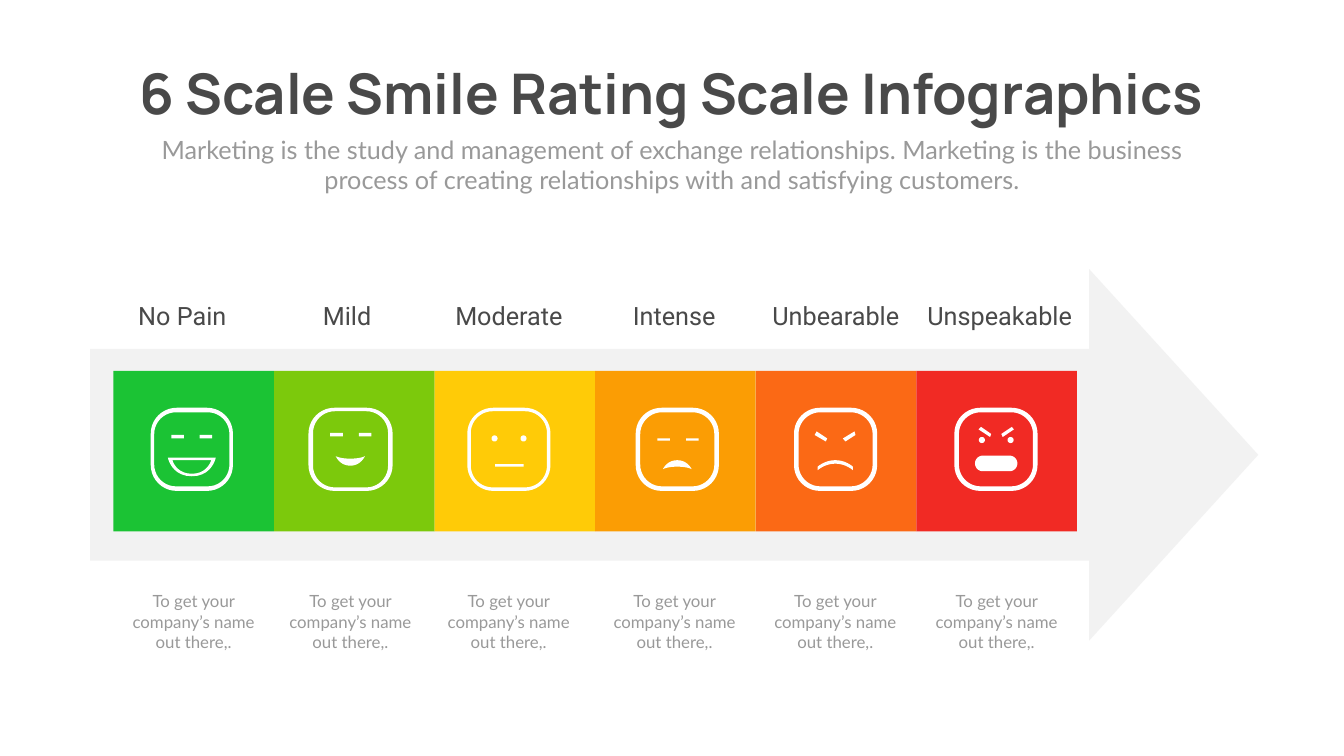
from dataclasses import dataclass
from math import cos, pi, sin

from pptx import Presentation
from pptx import util as u
from pptx.dml.color import RGBColor
from pptx.enum import shapes, text

Point = tuple[float, float]
Contour = list[Point]

COLORS = {
    "heading": "494949", "body": "999999", "arrow": "F2F2F2", "face": "FFFFFF",
    "green": "1BC334", "lime": "7CC90C", "yellow": "FFCB07",
    "amber": "FB9D04", "orange": "FB6915", "red": "F12A24",
}
CAPTION = "To get your company’s name out there,."

# All lengths are in points
TILE_LEFT, TILE_TOP, TILE_PITCH, TILE_SIZE = 162, 530, 229.35, 229.3
FACE_TOP, FACE_HEIGHT, FACE_RADIUS = 582.5, 118.8, 37
LABEL_TOP, LABEL_HEIGHT = 425.5, 51
CAPTION_TOP, CAPTION_WIDTH, CAPTION_HEIGHT = 841, 194.4, 94.3
UNITS_PER_POINT = 100
CURVE_STEPS = 10


@dataclass
class Stage:
    label: str
    color: str
    label_left: float
    label_width: float
    caption_left: float
    face_left: float
    face_width: float
    side_border: float
    top_border: float
    features: list[Contour]


# Face outlines, measured from the top left corner of the face
def rounded(left: float, top: float, width: float, height: float, radius: float) -> Contour:
    """Rectangle with circular corners."""
    right, bottom = left + width - radius, top + height - radius
    corners = [(right, bottom), (left + radius, bottom),
               (left + radius, top + radius), (right, top + radius)]
    points = []
    for quarter, (x, y) in enumerate(corners):
        for step in range(CURVE_STEPS + 1):
            angle = (quarter + step / CURVE_STEPS) * pi / 2
            points.append((x + radius * cos(angle), y + radius * sin(angle)))
    return points


def bar(left: float, top: float, width: float, height: float) -> Contour:
    return [(left, top), (left + width, top),
            (left + width, top + height), (left, top + height)]


def bow(left: float, right: float, end_y: float, middle_y: float, inset: float) -> Contour:
    """Symmetric curve through two ends and a middle point."""
    middle = (left + right) / 2
    half = []
    for step in range(CURVE_STEPS + 1):
        t = step / CURVE_STEPS
        start, control, finish = (1 - t) ** 3 + 3 * (1 - t) ** 2 * t, 3 * (1 - t) * t * t, t ** 3
        half.append((start * left + control * (left + inset) + finish * middle,
                     start * end_y + (control + finish) * middle_y))
    return half + [(left + right - x, y) for x, y in reversed(half[:-1])]


def mouth(left: float, right: float, first: Point, second: Point, inset: float = 5.5) -> Contour:
    """Area between two bows, each given as end and middle height."""
    return bow(left, right, *first, inset) + bow(left, right, *second, inset)[::-1]


def eyes(lefts: Point, top: float, height: float) -> list[Contour]:
    return [bar(left, top, 18, height) for left in lefts]


def dots(lefts: Point, top: float) -> list[Contour]:
    return [rounded(left, top, 8.6, 8.6, 4.3) for left in lefts]


STAGES = [
    Stage("No Pain", "green", 188, 144.7, 179.3, 215.3, 117.4, 5, 6.5,
          [*eyes((29.5, 69.8), 38.9, 5),
           bow(24.5, 92.9, 71.3, 97.9, 5), bow(31, 86.4, 74.9, 94.3, 5)]),
    Stage("Mild", "lime", 423.4, 144.7, 403.2, 440.6, 120.2, 6.5, 5,
          [*eyes((31, 72), 36, 5), mouth(38.9, 80.6, (69.1, 72.7), (69.1, 82.8))]),
    Stage("Moderate", "yellow", 633.6, 186.5, 629.3, 667.4, 118.8, 5, 5,
          [*dots((34.6, 76), 39.6), bar(39.6, 80.6, 41, 3.6)]),
    Stage("Intense", "amber", 890.6, 144.7, 866.2, 907.9, 118.8, 6.5, 6.5,
          [*eyes((31, 72), 43.9, 3), mouth(38.9, 79.9, (87.8, 84.2), (87.8, 74.9))]),
    Stage("Unbearable", "orange", 1066.3, 254.9, 1095.8, 1134, 118.8, 6.5, 6.5,
          [[(45.4, 48.2), (29.5, 38.9), (32.4, 33.8), (47.5, 43.9)],
           [(69.8, 43.9), (73.4, 48.2), (87.8, 38.9), (86.4, 33.8)],
           mouth(33.8, 84.2, (84.2, 74.9), (89.3, 79.9), 10)]),
    Stage("Unspeakable", "red", 1301.8, 252, 1326.2, 1363, 118.8, 6.5, 6.5,
          [[(52.6, 37.4), (38.2, 27.4), (34.6, 31), (51.1, 41.8)],
           [(85, 31), (82.1, 27.4), (67, 37.4), (69.1, 41.8)],
           *dots((35, 76), 41.8), rounded(29.5, 68.4, 60.5, 22.3, 11.1)]),
]


def paint(shape, color: str) -> None:
    shape.shadow.inherit = False
    shape.fill.solid()
    shape.fill.fore_color.rgb = RGBColor.from_string(COLORS[color])
    shape.line.fill.background()


def add_block(slide, preset, left: float, top: float, width: float, height: float, color: str):
    shape = slide.shapes.add_shape(preset, u.Pt(left), u.Pt(top), u.Pt(width), u.Pt(height))
    paint(shape, color)
    return shape


def add_text(slide, content: str, *, left: float, top: float, width: float, height: float,
             size: float, font: str, color: str, bold: bool = False, wrap: bool = True) -> None:
    box = slide.shapes.add_textbox(u.Pt(left), u.Pt(top), u.Pt(width), u.Pt(height))
    frame = box.text_frame
    frame.word_wrap = wrap
    frame.auto_size = text.MSO_AUTO_SIZE.SHAPE_TO_FIT_TEXT
    paragraph = frame.paragraphs[0]
    paragraph.alignment = text.PP_ALIGN.CENTER
    run = paragraph.add_run()
    run.text = content
    run.font.size = u.Pt(size)
    run.font.name = font
    run.font.bold = bold
    run.font.color.rgb = RGBColor.from_string(COLORS[color])


def add_face(slide, stage: Stage) -> None:
    side, top = stage.side_border, stage.top_border
    contours = [
        rounded(0, 0, stage.face_width, FACE_HEIGHT, FACE_RADIUS),
        rounded(side, top, stage.face_width - 2 * side, FACE_HEIGHT - 2 * top, FACE_RADIUS - 6),
        *stage.features,
    ]
    scaled = [[(x * UNITS_PER_POINT, y * UNITS_PER_POINT) for x, y in contour]
              for contour in contours]
    builder = slide.shapes.build_freeform(*scaled[0][0], scale=u.Pt(1) / UNITS_PER_POINT)
    builder.add_line_segments(scaled[0][1:], close=True)
    for contour in scaled[1:]:
        builder.move_to(*contour[0])
        builder.add_line_segments(contour[1:], close=True)
    paint(builder.convert_to_shape(u.Pt(stage.face_left), u.Pt(FACE_TOP)), "face")


def main() -> None:
    presentation = Presentation()
    presentation.slide_width, presentation.slide_height = u.Pt(1919.5), u.Pt(1080)
    slide = presentation.slides.add_slide(presentation.slide_layouts[6])

    # Heading
    add_text(slide, "6 Scale Smile Rating Scale Infographics", left=138.2, top=80.6, width=1642.3,
             height=104.4, size=80, font="Manrope", color="heading", bold=True, wrap=False)
    add_text(slide, "Marketing is the study and management of exchange relationships. Marketing is "
             "the business process of creating relationships with and satisfying customers.",
             left=210.2, top=188, width=1499, height=94.3, size=36, font="Lato", color="body")

    # Arrow behind the scale
    arrow = add_block(slide, shapes.MSO_SHAPE.RIGHT_ARROW, 128.9, 384.5, 1668.2, 530.6, "arrow")
    arrow.adjustments[0], arrow.adjustments[1] = 0.57, 0.455

    # Tiles, faces, labels and captions
    for index, stage in enumerate(STAGES):
        add_block(slide, shapes.MSO_SHAPE.RECTANGLE, TILE_LEFT + index * TILE_PITCH, TILE_TOP,
                  TILE_SIZE, TILE_SIZE, stage.color)
        add_face(slide, stage)
        add_text(slide, stage.label, left=stage.label_left, top=LABEL_TOP, width=stage.label_width,
                 height=LABEL_HEIGHT, size=36, font="Roboto", color="heading")
        add_text(slide, CAPTION, left=stage.caption_left, top=CAPTION_TOP, width=CAPTION_WIDTH,
                 height=CAPTION_HEIGHT, size=24, font="Lato", color="body")

    presentation.save("out.pptx")


if __name__ == "__main__":
    main()
